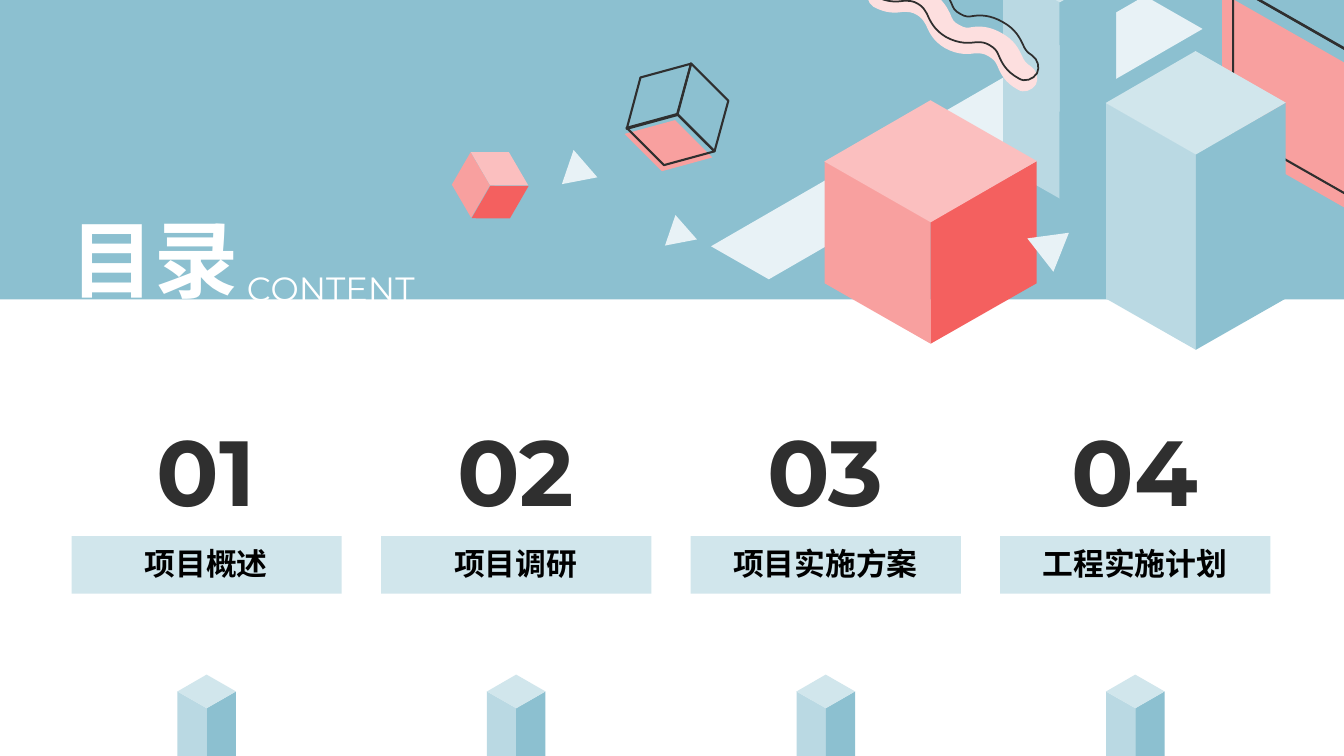
from dataclasses import dataclass
from math import cos, radians, sin

from lxml.etree import SubElement
from pptx import Presentation
from pptx.dml.color import RGBColor
from pptx.enum.shapes import MSO_SHAPE
from pptx.enum.text import MSO_ANCHOR, MSO_AUTO_SIZE, PP_ALIGN
from pptx.oxml.ns import qn
from pptx.util import Inches, Pt

BLUE, MIST, PALE, ICE = "8CC0D0", "BAD9E3", "D1E6EC", "E8F2F6"
RED, PINK, ROSE, BLUSH = "F4605F", "F8A09F", "FBBFBF", "FDDFDF"
INK, WHITE, BLACK = "2F2F2F", "FFFFFF", "000000"
LATIN, HAN = "Montserrat", "Noto Sans CJK SC"
SIDE, TOP = 0.57, 0.583  # slants of the parallelograms
SLANT, TRI = MSO_SHAPE.PARALLELOGRAM, MSO_SHAPE.ISOSCELES_TRIANGLE


@dataclass
class Piece:
    kind: MSO_SHAPE
    x: float
    y: float
    w: float
    h: float
    fill: str = ""
    turn: float = 0
    flip: bool = False
    slant: float | None = None


@dataclass
class Prism:
    x: float  # centre of the top face
    y: float
    w: float  # width of one side face
    h: float  # length of a side face
    tones: tuple[str, str, str]  # left, right, top


@dataclass
class Label:
    text: str
    x: float
    y: float
    w: float
    h: float
    size: float
    font: str
    color: str
    bold: bool = True
    center: bool = False
    pad: tuple[float, float] = (0, 0)


def rgb(code: str) -> RGBColor:
    return RGBColor.from_string(code)


def paint(shape, fill: str, width: float = 1.5) -> None:
    """Fill the shape, or outline it in ink when no fill is given."""
    shape.shadow.inherit = False
    if fill:
        shape.fill.solid()
        shape.fill.fore_color.rgb = rgb(fill)
        shape.line.fill.background()
    else:
        shape.fill.background()
        shape.line.color.rgb = rgb(INK)
        shape.line.width = Pt(width)


def draw(slide, item: Piece) -> None:
    box = [Inches(v) for v in (item.x, item.y, item.w, item.h)]
    shape = slide.shapes.add_shape(item.kind, *box)
    if item.slant is not None:
        shape.adjustments[0] = item.slant
    shape.rotation = item.turn
    if item.flip:
        shape.element.spPr.get_or_add_xfrm().set("flipH", "1")
    paint(shape, item.fill)


def stack(slide, item: Prism) -> None:
    """Draw the two side faces and the top face of an upright prism."""
    x, y, w, h = item.x, item.y, item.w, item.h
    left, right, top = item.tones
    mid = y + h / 2 - w / 2
    draw(slide, Piece(SLANT, x - w / 2 - h / 2, mid, h, w, left, 90, False, SIDE))
    draw(slide, Piece(SLANT, x + w / 2 - h / 2, mid, h, w, right, 270, True, SIDE))
    wide = 1.74 * w
    draw(slide, Piece(SLANT, x - wide / 2, y - w / 2, wide, w, top, 330, True, TOP))


def write(slide, item: Label) -> None:
    box = [Inches(v) for v in (item.x, item.y, item.w, item.h)]
    shape = slide.shapes.add_textbox(*box)
    frame = shape.text_frame
    frame.word_wrap = item.center
    frame.auto_size = MSO_AUTO_SIZE.SHAPE_TO_FIT_TEXT
    frame.margin_left = frame.margin_right = Inches(item.pad[0])
    frame.margin_top = frame.margin_bottom = Inches(item.pad[1])
    frame.vertical_anchor = MSO_ANCHOR.MIDDLE if item.pad[1] else MSO_ANCHOR.TOP
    frame.text = item.text
    para = frame.paragraphs[0]
    if item.center:
        para.alignment = PP_ALIGN.CENTER
        para.line_spacing = 0.9
        para.space_before = Pt(10)
    font = para.runs[0].font
    font.size, font.bold, font.name = Pt(item.size), item.bold, item.font
    font.color.rgb = rgb(item.color)
    for props in shape.element.iter(qn("a:rPr")):
        SubElement(props, qn("a:ea")).set("typeface", item.font)


# Outline of the wavy ribbon: (control, control, end) per curve, in a closed ring
TILT, HUB = 30, (9.475, 0.295)
CURVES = [
    (9.96, 0.82, 9.92, 0.73, 9.89, 0.66), (9.87, 0.61, 9.85, 0.59, 9.8, 0.56),
    (9.75, 0.53, 9.72, 0.53, 9.67, 0.53), (9.6, 0.54, 9.5, 0.55, 9.37, 0.48),
    (9.25, 0.41, 9.21, 0.32, 9.18, 0.25), (9.15, 0.2, 9.14, 0.18, 9.09, 0.15),
    (9.04, 0.12, 9.01, 0.12, 8.95, 0.12), (8.88, 0.13, 8.79, 0.14, 8.66, 0.07),
    (8.6, 0.03, 8.58, -0.05, 8.61, -0.11), (8.65, -0.18, 8.73, -0.2, 8.79, -0.16),
    (8.84, -0.13, 8.87, -0.13, 8.93, -0.14), (9, -0.15, 9.1, -0.16, 9.22, -0.08),
    (9.35, -0.01, 9.39, 0.08, 9.42, 0.14), (9.44, 0.19, 9.45, 0.22, 9.51, 0.25),
    (9.56, 0.28, 9.59, 0.28, 9.64, 0.27), (9.71, 0.26, 9.81, 0.26, 9.93, 0.33),
    (10.06, 0.4, 10.1, 0.49, 10.13, 0.55), (10.15, 0.6, 10.17, 0.63, 10.22, 0.66),
    (10.28, 0.7, 10.3, 0.78, 10.27, 0.84), (10.23, 0.9, 10.15, 0.93, 10.09, 0.89),
]


def level(x: float, y: float, dx: float, dy: float) -> tuple[int, int]:
    """Turn a point back about the hub, then shift it."""
    c, s = cos(radians(TILT)), sin(radians(TILT))
    u, v = x - HUB[0], y - HUB[1]
    return Inches(HUB[0] + u * c + v * s + dx), Inches(HUB[1] - u * s + v * c + dy)


def wave(slide, dx: float, dy: float, fill: str = "") -> None:
    rows = [[level(*row[i:i + 2], dx, dy) for i in (0, 2, 4)] for row in CURVES]
    ends = [row[2] for row in rows]
    pen = slide.shapes.build_freeform(*ends[-1])
    pen.add_line_segments(ends, close=True)
    shape = pen.convert_to_shape()
    # Bend each straight side into a Bezier curve
    for node, row in zip(list(shape.element.iter(qn("a:lnTo"))), rows):
        node.tag = qn("a:cubicBezTo")
        end = node[0]
        for x, y in row[:2]:
            dot = SubElement(node, qn("a:pt"))
            dot.set("x", str(x - shape.left))
            dot.set("y", str(y - shape.top))
        node.append(end)
    shape.rotation = TILT
    paint(shape, fill, 1.25)


# Header art, from back to front
COOL = (MIST, BLUE, PALE)
ART = [
    Piece(MSO_SHAPE.ROUNDED_RECTANGLE, 0, 0, 13.33, 2.97, BLUE, slant=0),
    Piece(SLANT, 6.84, 1.08, 5.3, 0.57, ICE, 330, True, TOP),
    Prism(10.51, -0.3, 0.56, 2.27, COOL),
    Piece(SLANT, 11.67, 0.38, 2.15, 1.25, PINK, 90, False, SIDE),
    Piece(SLANT, 11.78, 0.3, 2.15, 1.25, "", 90, False, SIDE),
    Piece(SLANT, 12.4, -0.77, 2.17, 1.25, "", 330, True, TOP),
    Prism(9.23, 1.6, 1.05, 1.81, (PINK, RED, ROSE)),
    Prism(11.86, 1.02, 0.89, 2.45, COOL),
    Piece(TRI, 10.25, 2.24, 0.42, 0.36, ICE, 52),
    Piece(TRI, 6.62, 2.19, 0.32, 0.28, ICE, 108.9),
    Piece(TRI, 5.51, 1.57, 0.36, 0.31, ICE, 229),
]
FRONT = [
    # Wire cube with its pink floor
    Piece(SLANT, 6.24, 1.22, 0.78, 0.45, PINK, 45, False, SIDE),
    Piece(SLANT, 6.26, 1.16, 0.78, 0.45, "", 45, False, SIDE),
    Piece(SLANT, 6.58, 0.84, 0.78, 0.45, "", 225, True, SIDE),
    Piece(SLANT, 6.14, 0.73, 0.79, 0.45, "", 285, True, TOP),
    # Small tilted cube
    Piece(SLANT, 4.39, 1.67, 0.56, 0.33, PINK, 120, False, SIDE),
    Piece(SLANT, 4.68, 1.84, 0.56, 0.33, RED, 300, True, SIDE),
    Piece(SLANT, 4.67, 1.51, 0.57, 0.33, ROSE, 0, True, TOP),
]
TOPICS = ["项目概述", "项目调研", "项目实施方案", "工程实施计划"]
PITCH = 3.07


def main() -> None:
    deck = Presentation()
    deck.slide_width, deck.slide_height = Inches(13.33), Inches(7.5)
    slide = deck.slides.add_slide(deck.slide_layouts[6])

    # Header
    for item in ART:
        (stack if isinstance(item, Prism) else draw)(slide, item)
    wave(slide, 0, 0, BLUSH)
    wave(slide, 0.01, -0.11)
    for item in FRONT:
        draw(slide, item)
    write(slide, Label("目录", 0.7, 2.06, 1.68, 1.01, 60, HAN, WHITE))
    write(slide, Label("CONTENT", 2.45, 2.66, 1.83, 0.4, 24, LATIN, WHITE, False))

    # One column per topic
    for n, topic in enumerate(TOPICS):
        x = 0.7 + n * PITCH
        draw(slide, Piece(MSO_SHAPE.RECTANGLE, x + 0.01, 5.32, 2.68, 0.57, PALE))
        stack(slide, Prism(x + 1.35, 6.86, 0.29, 0.86, COOL))
        write(slide, Label(f"{n + 1:02}", x, 4.23, 2.69, 1, 66, LATIN, INK, center=True))
        write(slide, Label(topic, x, 5.33, 2.69, 0.57, 22, HAN, BLACK,
                           center=True, pad=(0.08, 0.12)))

    deck.save("out.pptx")


if __name__ == "__main__":
    main()
